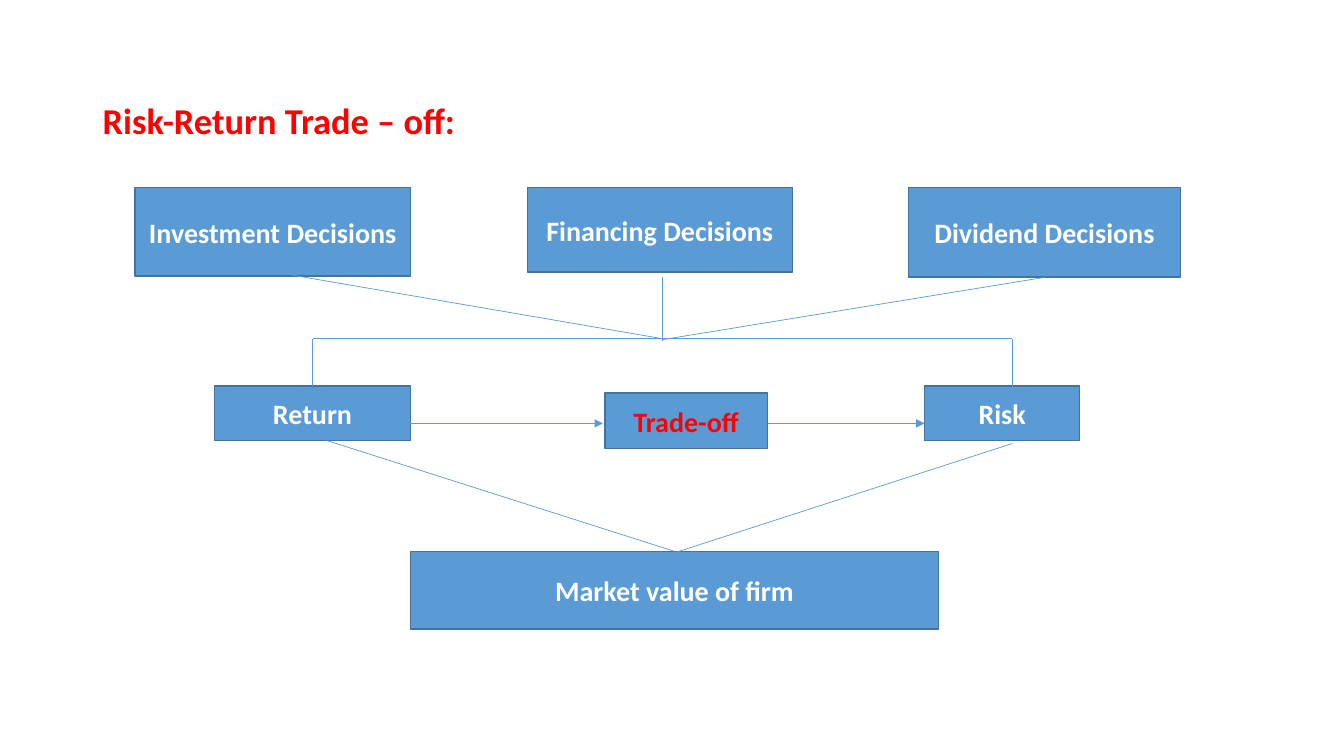
from lxml import etree
from pptx import Presentation
from pptx.dml.color import RGBColor
from pptx.enum import shapes, text
from pptx.oxml import ns
from pptx.util import Inches, Pt

COLORS = {"box": "5B9BD5", "border": "43739E", "line": "5B9BD5",
          "label": "FFFFFF", "accent": "FF0000"}
FONT = "Calibri"

# Label, left, top, width, height
DECISIONS = [
    ("Investment Decisions", 1.34, 1.86, 2.73, 0.88),
    ("Financing Decisions", 5.23, 1.86, 2.63, 0.84),
    ("Dividend Decisions", 9.01, 1.86, 2.7, 0.89),
]
OUTCOMES = [
    ("Return", 2.13, 3.83, 1.94, 0.54),
    ("Risk", 9.17, 3.83, 1.54, 0.54),
    ("Market value of firm", 4.07, 5.47, 5.24, 0.77),
]
TRADE_OFF = ("Trade-off", 6, 3.9, 1.61, 0.55)

# Bracket above Return and Risk, and the level of the arrows
LEFT, CENTER, RIGHT = 3.1, 6.57, 10.04
BRACKET_Y, ARROW_Y = 3.36, 4.2

# Start x, start y, end x, end y
LINES = [
    (LEFT, BRACKET_Y, LEFT, 3.83),
    (RIGHT, BRACKET_Y, RIGHT, 3.85),
    (LEFT, BRACKET_Y, RIGHT, BRACKET_Y),
    (CENTER, 2.75, CENTER, 3.38),
    (CENTER, 3.37, 10.37, 2.75),
    (2.9, 2.73, CENTER, BRACKET_Y),
    (3.24, 4.37, 6.69, 5.47),
    (6.64, 5.5, RIGHT, 4.4),
]
ARROWS = [(7.43, ARROW_Y, 9.17, ARROW_Y), (4.07, ARROW_Y, 5.98, ARROW_Y)]


def rgb(name):
    return RGBColor.from_string(COLORS[name])


def write(paragraph, label, size, color):
    run = paragraph.add_run()
    run.text = label
    for name, value in {"name": FONT, "size": Pt(size), "bold": True}.items():
        setattr(run.font, name, value)
    run.font.color.rgb = rgb(color)


def add_title(slide, label):
    box = slide.shapes.add_textbox(*map(Inches, (0.92, 0.97, 11.5, 5.72)))
    box.text_frame.word_wrap = True
    paragraph = box.text_frame.paragraphs[0]
    paragraph.line_spacing = 0.9
    write(paragraph, label, 26, "accent")


def add_box(slide, label, *bounds, color="label"):
    box = slide.shapes.add_shape(shapes.MSO_SHAPE.RECTANGLE, *map(Inches, bounds))
    box.shadow.inherit = False
    box.fill.solid()
    box.fill.fore_color.rgb = rgb("box")
    box.line.color.rgb = rgb("border")
    box.line.width = Pt(1)
    frame = box.text_frame
    for name, value in {"word_wrap": True,
                        "vertical_anchor": text.MSO_ANCHOR.MIDDLE}.items():
        setattr(frame, name, value)
    paragraph = frame.paragraphs[0]
    paragraph.alignment = text.PP_ALIGN.CENTER
    write(paragraph, label, 20, color)


def add_line(slide, *ends, arrow=False):
    line = slide.shapes.add_connector(shapes.MSO_CONNECTOR.STRAIGHT,
                                      *map(Inches, ends))
    line.line.color.rgb = rgb("line")
    line.line.width = Pt(0.5)
    if arrow:
        etree.SubElement(line.line._get_or_add_ln(), ns.qn("a:tailEnd"),
                         type="triangle")
    etree.SubElement(line._element.spPr, ns.qn("a:effectLst"))


def main():
    presentation = Presentation()
    presentation.slide_width = Inches(13.33)
    presentation.slide_height = Inches(7.5)
    slide = presentation.slides.add_slide(presentation.slide_layouts[6])

    add_title(slide, "Risk-Return Trade – off:")

    # Decisions and what they lead to
    for box in DECISIONS + OUTCOMES:
        add_box(slide, *box)

    # Links between the levels
    for ends in LINES:
        add_line(slide, *ends)
    for ends in ARROWS:
        add_line(slide, *ends, arrow=True)

    # Trade-off sits on top of the arrows
    add_box(slide, *TRADE_OFF, color="accent")

    presentation.save("out.pptx")


if __name__ == "__main__":
    main()
